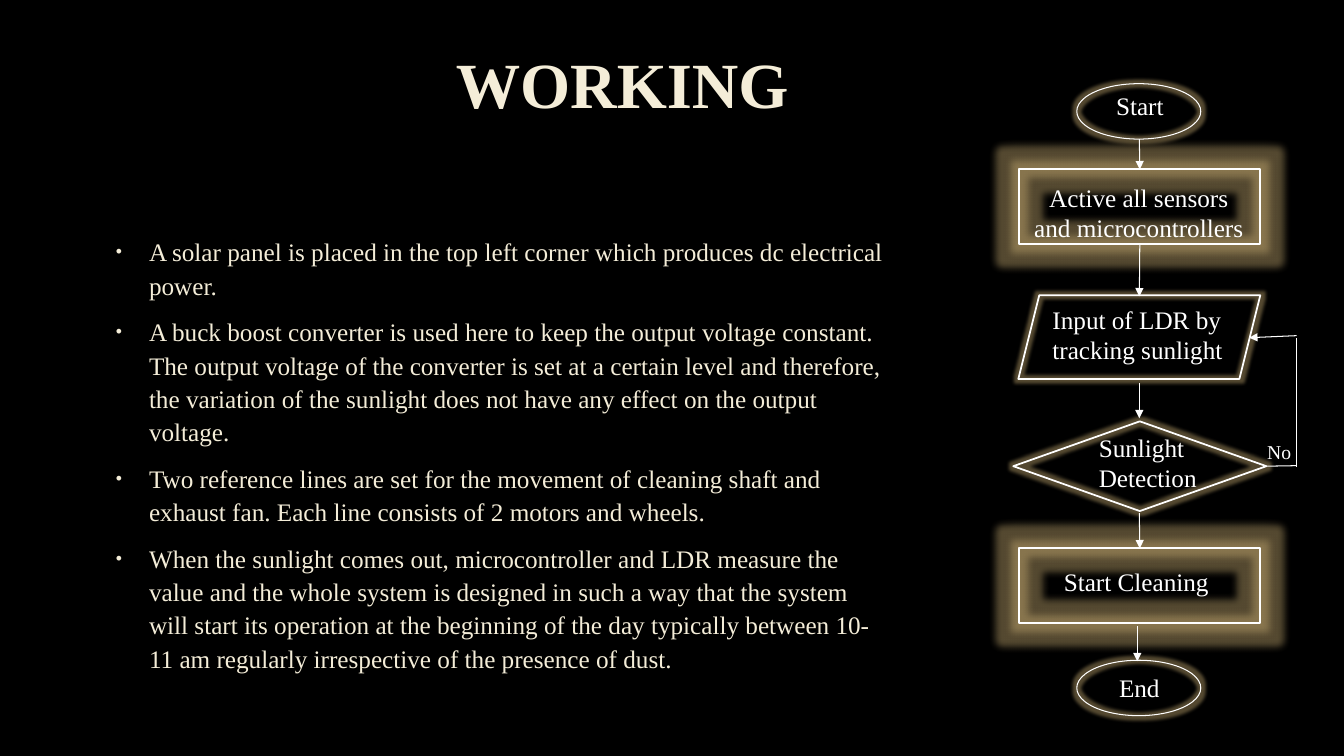
from dataclasses import dataclass

from lxml.etree import SubElement
from pptx import Presentation
from pptx.dml.color import RGBColor
from pptx.enum.shapes import MSO_CONNECTOR, MSO_SHAPE
from pptx.enum.text import MSO_ANCHOR, MSO_AUTO_SIZE, PP_ALIGN
from pptx.oxml import parse_xml
from pptx.oxml.ns import qn
from pptx.util import Inches, Pt


@dataclass(frozen=True)
class Theme:
    back: str = "000000"
    cream: str = "F4EDD8"
    white: str = "FFFFFF"
    edge: str = "404040"
    glow: str = "D6B97B"
    font: str = "Times New Roman"
    title: int = 46
    body: int = 18
    note: int = 14
    thin: float = 0.75
    thick: float = 1.25


THEME = Theme()
NS = 'xmlns:a="http://schemas.openxmlformats.org/drawingml/2006/main"'

POINTS = [
    "A solar panel is placed in the top left corner which produces dc electrical power.",
    "A buck boost converter is used here to keep the output voltage constant. "
    "The output voltage of the converter is set at a certain level and therefore, "
    "the variation of the sunlight does not have any effect on the output voltage.",
    "Two reference lines are set for the movement of cleaning shaft and exhaust fan. "
    "Each line consists of 2 motors and wheels.",
    "When the sunlight comes out, microcontroller and LDR measure the value and the "
    "whole system is designed in such a way that the system will start its operation "
    "at the beginning of the day typically between 10-11 am regularly irrespective of "
    "the presence of dust.",
]


def color(code):
    return RGBColor.from_string(code)


def add_bullet(para):
    props = para._p.get_or_add_pPr()
    props.set("marL", str(Inches(0.38)))
    props.set("indent", str(Inches(-0.33)))
    tint = SubElement(props, qn("a:buClr"))
    SubElement(tint, qn("a:srgbClr"), val=THEME.cream)
    SubElement(props, qn("a:buSzPct"), val="70000")
    SubElement(props, qn("a:buFont"), typeface="Arial")
    SubElement(props, qn("a:buChar"), char="•")


def add_edge(run):
    run._r.get_or_add_rPr().insert(0, parse_xml(
        f'<a:ln {NS} w="{Pt(THEME.thin)}"><a:solidFill><a:srgbClr val="{THEME.edge}">'
        '<a:alpha val="10000"/></a:srgbClr></a:solidFill></a:ln>'))


def add_text(slide, text, at, size=THEME.body, tint=THEME.white, bold=False,
             center=False, middle=False, bullet=False, edge=False, grow=True,
             lead=None, before=0, after=0):
    frame = slide.shapes.add_textbox(*map(Inches, at)).text_frame
    frame.word_wrap = True
    frame.auto_size = MSO_AUTO_SIZE.SHAPE_TO_FIT_TEXT if grow else MSO_AUTO_SIZE.NONE
    frame.vertical_anchor = MSO_ANCHOR.MIDDLE if middle else MSO_ANCHOR.TOP
    lines = [text] if isinstance(text, str) else text
    for index, line in enumerate(lines):
        para = frame.add_paragraph() if index else frame.paragraphs[0]
        if bullet:
            add_bullet(para)
        para.alignment = PP_ALIGN.CENTER if center else PP_ALIGN.LEFT
        para.line_spacing = lead
        para.space_before = Pt(before if index else 0)
        para.space_after = Pt(after)
        run = para.add_run()
        run.text = line
        run.font.name = THEME.font
        run.font.size = Pt(size)
        run.font.bold = bold
        run.font.color.rgb = color(tint)
        if edge:
            add_edge(run)


def add_node(slide, kind, at, width=THEME.thick, glow=5):
    node = slide.shapes.add_shape(kind, *map(Inches, at))
    node.fill.background()
    node.line.color.rgb = color(THEME.white)
    node.line.width = Pt(width)
    node.shadow.inherit = False
    effects = node._element.spPr.find(qn("a:effectLst"))
    effects.append(parse_xml(
        f'<a:glow {NS} rad="{Pt(glow)}"><a:srgbClr val="{THEME.glow}">'
        '<a:alpha val="40000"/></a:srgbClr></a:glow>'))
    return node


def add_line(slide, start, end, arrow=True, source=None, target=None):
    line = slide.shapes.add_connector(
        MSO_CONNECTOR.STRAIGHT, *map(Inches, (*start, *end)))
    if source:
        line.begin_connect(*source)
    if target:
        line.end_connect(*target)
    line.line.color.rgb = color(THEME.white)
    line.line.width = Pt(THEME.thin)
    if arrow:
        SubElement(line.line._get_or_add_ln(), qn("a:tailEnd"), type="triangle")
    SubElement(line._element.spPr, qn("a:effectLst"))


def add_chart(slide):
    oval, box = (1.23, 0.55), (2.39, 0.74)
    add_node(slide, MSO_SHAPE.OVAL, (10.68, 0.83, *oval), width=THEME.thin)
    active = add_node(slide, MSO_SHAPE.RECTANGLE, (10.11, 1.68, *box), glow=11)
    add_node(slide, MSO_SHAPE.PARALLELOGRAM, (10.1, 2.93, 2.4, 0.83))
    detect = add_node(slide, MSO_SHAPE.DIAMOND, (10.05, 4.18, 2.51, 0.89))
    clean = add_node(slide, MSO_SHAPE.RECTANGLE, (10.11, 5.44, *box), glow=11)
    add_node(slide, MSO_SHAPE.OVAL, (10.68, 6.55, *oval), width=THEME.thin)

    add_line(slide, (11.3, 1.38), (11.3, 1.68), target=(active, 0))
    add_line(slide, (11.3, 2.42), (11.3, 2.94), source=(active, 2))
    add_line(slide, (11.3, 3.8), (11.3, 4.15))
    add_line(slide, (11.3, 5.09), (11.3, 5.44), target=(clean, 0))
    add_line(slide, (11.28, 6.21), (11.28, 6.56))
    add_line(slide, (12.56, 4.63), (12.86, 4.62), arrow=False, source=(detect, 3))
    add_line(slide, (12.86, 4.63), (12.86, 3.35), arrow=False)
    add_line(slide, (12.86, 3.33), (12.39, 3.35))

    for label, at, center in [
        ("Start", (10.91, 0.85, 0.79, 0.4), True),
        ("Active all sensors and microcontrollers", (10.11, 1.76, 2.37, 0.71), True),
        ("Input of LDR by tracking sunlight", (10.34, 2.97, 1.92, 0.71), False),
        ("Sunlight Detection", (10.8, 4.24, 1.53, 0.71), False),
        ("Start Cleaning", (10.24, 5.57, 2.06, 0.4), True),
        ("End", (10.91, 6.62, 0.78, 0.4), True),
    ]:
        add_text(slide, label, at, center=center)
    add_text(slide, "No", (12.47, 4.32, 0.6, 0.34), size=THEME.note)


def main():
    deck = Presentation()
    deck.slide_width, deck.slide_height = Inches(13.33), Inches(7.5)
    slide = deck.slides.add_slide(deck.slide_layouts[6])
    slide.background.fill.solid()
    slide.background.fill.fore_color.rgb = color(THEME.back)
    add_text(slide, "WORKING", (0.51, 0.18, 11.32, 1.38), size=THEME.title,
             tint=THEME.cream, bold=True, center=True, middle=True, edge=True,
             grow=False, lead=0.9)
    add_text(slide, POINTS, (1, 2.27, 7.87, 4.97), tint=THEME.cream, bullet=True,
             edge=True, grow=False, lead=1.1, before=3.6, after=6)
    add_chart(slide)
    deck.save("out.pptx")


if __name__ == "__main__":
    main()
